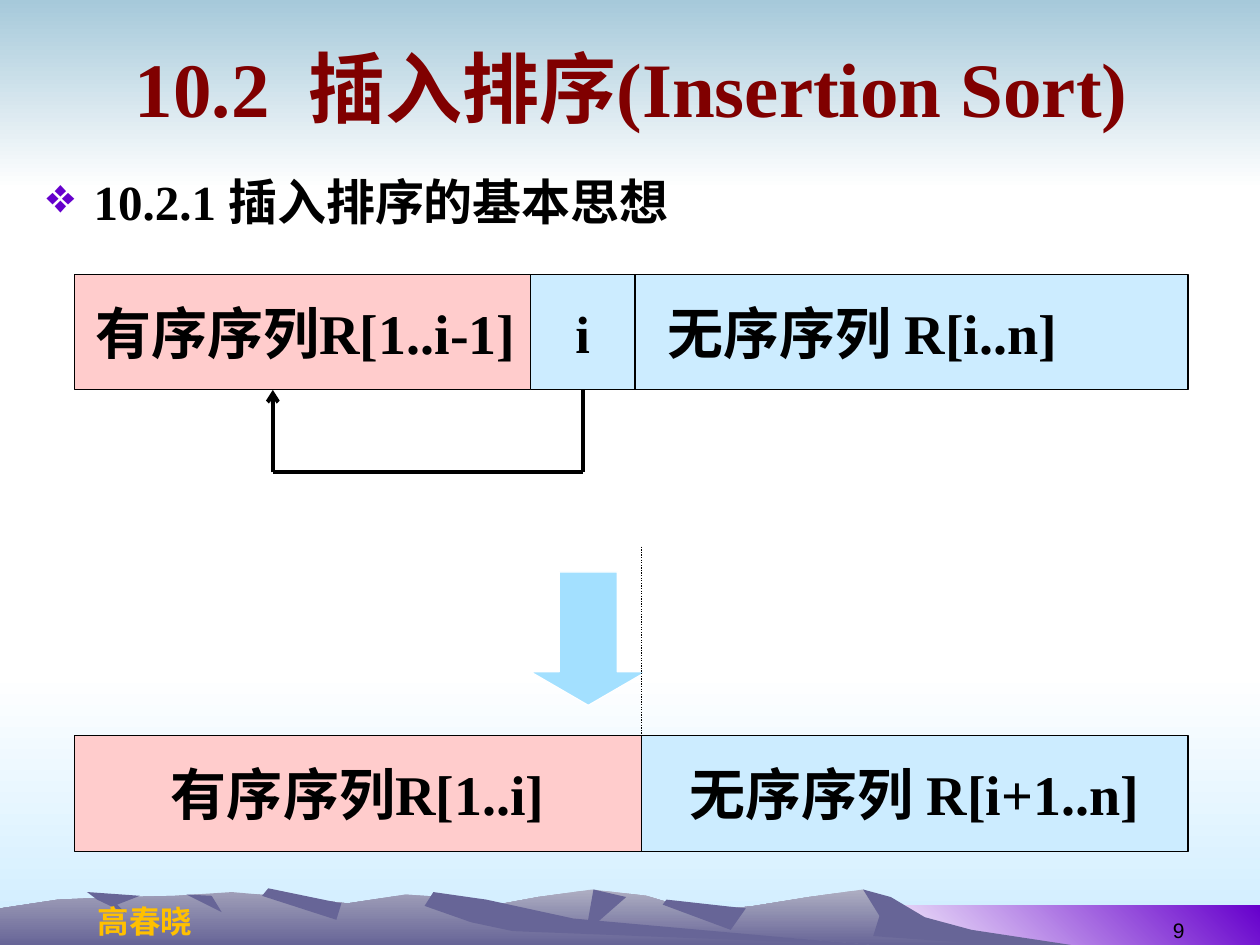
from itertools import pairwise

from lxml.etree import SubElement
from pptx import Presentation
from pptx.dml.color import RGBColor
from pptx.enum.dml import MSO_LINE
from pptx.enum.shapes import MSO_CONNECTOR, MSO_SHAPE
from pptx.enum.text import MSO_ANCHOR, PP_ALIGN
from pptx.oxml.ns import qn
from pptx.util import Cm, Pt

THEME = {
    "serif": "Times New Roman", "sans": "Arial", "chinese": "Noto Sans CJK SC",
    "title": "800000", "ink": "000000", "bullet": "6600CC", "author": "FFC000",
    "sorted": "FFCCCC", "unsorted": "CCECFF", "arrow": "A3E0FF", "white": "FFFFFF",
    "sky": "A6C9DA", "shade": "676597", "far_ridge": "AEAEC2", "near_ridge": "9F9EB8",
    "title_size": 44, "heading_size": 28, "cell_size": 32, "index_size": 30,
    "author_size": 18, "number_size": 12, "thin": 0.75, "thick": 2.25,
}

# Bands: left, top, width, height in cm, first colour, last colour, angle
BANDS = [
    (0, 13.55, 25.4, 5.5, "white", "unsorted", 270),
    (0, 0, 25.4, 3.81, "sky", "white", 270),
    (17.35, 18.26, 8.05, 0.79, "white", "bullet", 45),
]

# Mountains in units of 0.0254 cm. A ridge is sampled at equal steps:
# colour, left, step, right foot, heights above the foot, shaded faces
FOOT = 750
RIDGES = [
    ("far_ridge", 384, 43, 821, [30, 38, 44, 39, 26, 31, 38, 44, 23, 11], [
        [(685, 706), (707, 712), (734, 728), (771, 738), (850, 750), (792, 750), (693, 743),
         (698, 727)],
        [(471, 706), (497, 712), (465, 740)],
        [(529, 714), (592, 721), (580, 738), (526, 718)],
    ]),
    ("near_ridge", 0, 46, 690, [29, 36, 38, 39, 42, 38, 33, 40, 37, 23], [
        [(213, 705), (271, 717), (267, 730), (208, 711)],
        [(344, 708), (386, 714), (455, 729), (690, 750), (407, 739), (374, 732), (337, 719)],
        [(148, 710), (168, 711), (176, 724)],
        [(69, 708), (111, 711), (93, 718), (100, 725), (77, 714)],
    ]),
]

ROW_LEFT, ROW_RIGHT, ROW_HEIGHT = 1.5, 23.95, 2.33
BEFORE_TOP, AFTER_TOP = 5.53, 14.83
INDEX_LEFT, INDEX_RIGHT, SPLIT = 10.69, 12.8, 12.93
SORTED_RIGHT = 10.82
# Cells: left, right, top, colour, text, text size
CELLS = [
    (ROW_LEFT, SORTED_RIGHT, BEFORE_TOP, "sorted", "有序序列R[1..i-1]", "cell_size"),
    (SORTED_RIGHT, ROW_RIGHT, BEFORE_TOP, "unsorted", "无序序列 R[i..n]", "cell_size"),
    (INDEX_LEFT, INDEX_RIGHT, BEFORE_TOP, "unsorted", "i", "index_size"),
    (ROW_LEFT, SPLIT, AFTER_TOP, "sorted", "有序序列R[1..i]", "cell_size"),
    (SPLIT, ROW_RIGHT, AFTER_TOP, "unsorted", "无序序列 R[i+1..n]", "cell_size"),
]


def color(name):
    return RGBColor.from_string(THEME[name])


def paint_gradient(shape, first, last, angle=270):
    shape.shadow.inherit = False
    shape.line.fill.background()
    shape.fill.gradient()
    shape.fill.gradient_angle = angle
    for stop, name, position in zip(shape.fill.gradient_stops, (first, last), (0, 1)):
        stop.color.rgb = color(name)
        stop.position = position


def paint_solid(shape, fill, line=None):
    shape.shadow.inherit = False
    shape.fill.solid()
    shape.fill.fore_color.rgb = color(fill)
    if line:
        shape.line.color.rgb = color(line)
        shape.line.width = Pt(THEME["thin"])
    else:
        shape.line.fill.background()


def write(shape, text, size, ink="ink", font="serif", bold=True,
          align=PP_ALIGN.CENTER, anchor=MSO_ANCHOR.MIDDLE, wrap=False):
    frame = shape.text_frame
    frame.word_wrap = wrap
    frame.vertical_anchor = anchor
    para = frame.paragraphs[0]
    para.alignment = align
    span = para.add_run()
    span.text = text
    span.font.size = Pt(THEME[size])
    span.font.bold = bold
    span.font.name = THEME[font]
    span.font.color.rgb = color(ink)
    SubElement(span.font._element, qn("a:ea"), typeface=THEME["chinese"])
    return para


def add_text(page, place, *words, **style):
    box = page.shapes.add_textbox(*map(Cm, place))
    return write(box, *words, **style)


def add_bullet(para, indent):
    para.space_before = Pt(5.6)
    properties = para._p.get_or_add_pPr()
    properties.set("marL", str(indent))
    properties.set("indent", str(-indent))
    tint = SubElement(properties, qn("a:buClr"))
    SubElement(tint, qn("a:srgbClr"), val=THEME["bullet"])
    SubElement(properties, qn("a:buChar"), char="❖")


def add_line(page, start, end, width):
    line = page.shapes.add_connector(MSO_CONNECTOR.STRAIGHT, *map(Cm, (*start, *end)))
    line.line.color.rgb = color("ink")
    line.line.width = Pt(THEME[width])
    SubElement(line._element.spPr, qn("a:effectLst"))
    return line


def add_outline(page, points):
    builder = page.shapes.build_freeform(*points[0], scale=Cm(0.0254))
    builder.add_line_segments(points[1:], close=True)
    return builder.convert_to_shape()


def draw_background(page):
    for *place, first, last, angle in BANDS:
        band = page.shapes.add_shape(MSO_SHAPE.RECTANGLE, *map(Cm, place))
        paint_gradient(band, first, last, angle)
    for top_color, left, step, right, heights, faces in RIDGES:
        crest = [(left + step * index, FOOT - height) for index, height in enumerate(heights)]
        ridge = add_outline(page, [(left, FOOT), *crest, (right, FOOT)])
        paint_gradient(ridge, top_color, "shade")
        for face in faces:
            paint_solid(add_outline(page, face), "shade")


def draw_diagram(page):
    for left, right, top, fill, text, size in CELLS:
        cell = page.shapes.add_shape(
            MSO_SHAPE.RECTANGLE, *map(Cm, (left, top, right - left, ROW_HEIGHT)))
        paint_solid(cell, fill, "ink")
        write(cell, text, size)

    arrow = page.shapes.add_shape(MSO_SHAPE.DOWN_ARROW, *map(Cm, (10.69, 11.53, 2.34, 2.69)))
    arrow.adjustments[1] = 0.29
    paint_solid(arrow, "arrow", "white")
    add_line(page, (SPLIT, 11.02), (SPLIT, AFTER_TOP), "thin").line.dash_style = MSO_LINE.ROUND_DOT

    source, target = (INDEX_LEFT + INDEX_RIGHT) / 2, 5.5
    upper, lower = BEFORE_TOP + ROW_HEIGHT, 9.52
    corners = [(source, upper), (source, lower), (target, lower), (target, upper)]
    for start, end in pairwise(corners):
        segment = add_line(page, start, end, "thick")
    SubElement(segment.line._get_or_add_ln(), qn("a:tailEnd"), type="arrow")


def main():
    deck = Presentation()
    deck.slide_width, deck.slide_height = Cm(25.4), Cm(19.05)
    page = deck.slides.add_slide(deck.slide_layouts[6])
    draw_background(page)
    add_text(page, (1.7, 18.06, 2.44, 1.02), "高春晓", "author_size", "author", "chinese",
             anchor=MSO_ANCHOR.TOP)
    add_text(page, (18.2, 17.86, 5.93, 1.27), "9", "number_size", font="sans", bold=False,
             align=PP_ALIGN.RIGHT, anchor=MSO_ANCHOR.BOTTOM, wrap=True)
    add_text(page, (1.3, 0.33, 22.86, 2.84), "10.2  插入排序(Insertion Sort)", "title_size",
             "title", wrap=True)
    heading = add_text(page, (0.69, 3.33, 24, 14.4), "10.2.1 插入排序的基本思想", "heading_size",
                       align=PP_ALIGN.LEFT, anchor=MSO_ANCHOR.TOP, wrap=True)
    add_bullet(heading, Cm(0.95))
    draw_diagram(page)
    deck.save("out.pptx")


if __name__ == "__main__":
    main()
